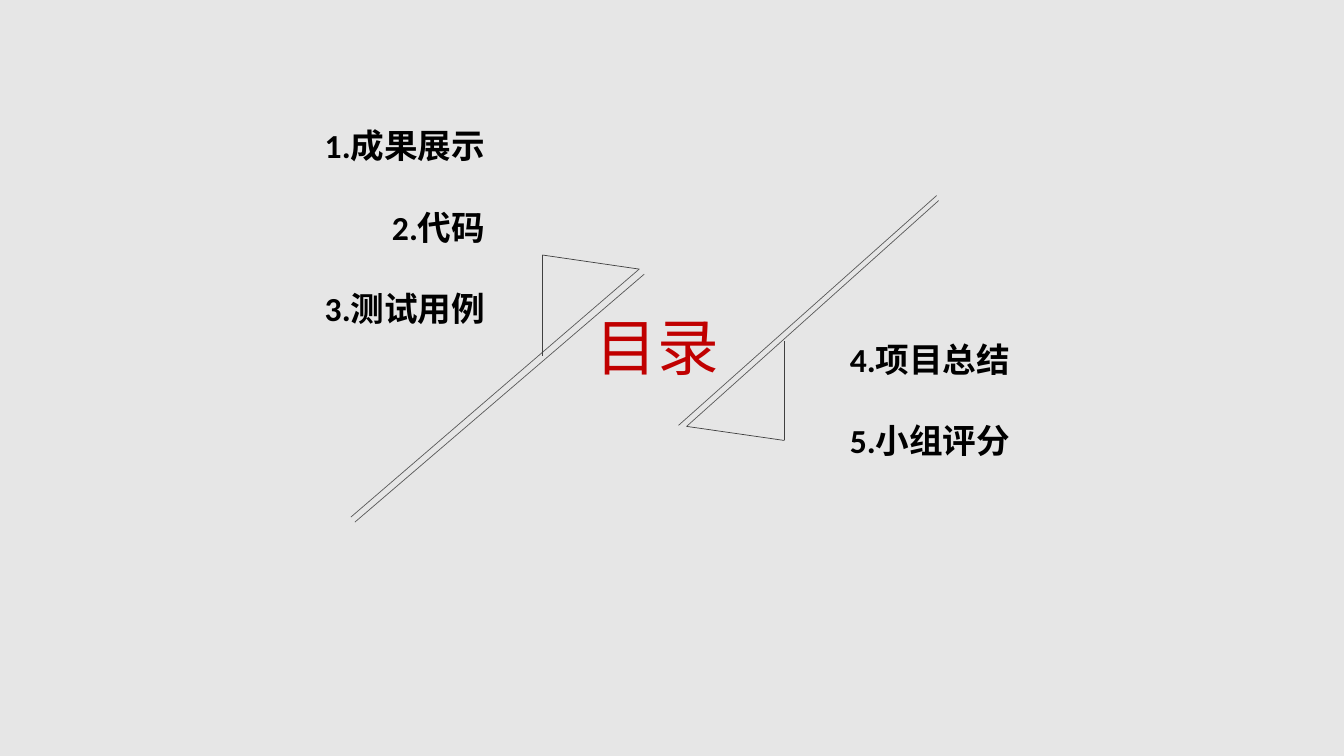
from pptx import Presentation
from pptx.dml.color import RGBColor
from pptx.enum.shapes import MSO_CONNECTOR
from pptx.enum.text import PP_ALIGN
from pptx.oxml.ns import qn
from pptx.util import Emu, Pt
from lxml.etree import SubElement

EMU_PER_PX = 9144  # 100 px to the inch


def px(length):
    return Emu(length * EMU_PER_PX)


def color(hex_code):
    return RGBColor.from_string(hex_code)


class AgendaSlide:
    BACKGROUND = "E6E6E6"
    LATIN_FONT = "Calibri"
    CJK_FONT = "Noto Sans CJK SC"

    def __init__(self, presentation):
        self.slide = presentation.slides.add_slide(presentation.slide_layouts[6])
        fill = self.slide.background.fill
        fill.solid()
        fill.fore_color.rgb = color(self.BACKGROUND)

    def line(self, start, end, stroke):
        connector = self.slide.shapes.add_connector(
            MSO_CONNECTOR.STRAIGHT, *map(px, start + end))
        connector.line.color.rgb = color(stroke)
        connector.line.width = Pt(0.5)
        SubElement(connector._element.spPr, qn("a:effectLst"))

    def text(self, box, entries, size, ink, font, line_height,
             gap=0, bold=False, align=PP_ALIGN.LEFT):
        frame = self.slide.shapes.add_textbox(*map(px, box)).text_frame
        frame.word_wrap = True
        frame.text = "\n".join(entries)
        for index, paragraph in enumerate(frame.paragraphs):
            paragraph.alignment = align
            paragraph.line_spacing = Pt(line_height)
            paragraph.space_before = Pt(gap if index else 0)
            for run in paragraph.runs:
                run.font.size = Pt(size)
                run.font.bold = bold
                run.font.name = font
                run.font.color.rgb = color(ink)
                east_asian = SubElement(run.font._element, qn("a:ea"))
                east_asian.set("typeface", self.CJK_FONT)

    def topics(self, box, entries, align=PP_ALIGN.LEFT):
        self.text(box, entries, 24, "000000", self.LATIN_FONT,
                  line_height=29, gap=29, bold=True, align=align)


def main():
    presentation = Presentation()
    presentation.slide_width, presentation.slide_height = px(1333), px(750)
    agenda = AgendaSlide(presentation)

    # Heading
    agenda.text((581, 296, 148, 83), ["目录"], 44, "C00000",
                agenda.CJK_FONT, line_height=57)

    # Paired diagonals on both sides of the heading
    diagonals = [
        ((348, 513), (634, 267)),
        ((352, 518), (639, 272)),
        ((681, 423), (931, 199)),
        ((673, 422), (929, 194)),
    ]
    for start, end in diagonals:
        agenda.line(start, end, "595959")

    # Open triangles resting on the diagonals
    triangles = [
        [(634, 267), (538, 253), (538, 353)],
        [(681, 423), (778, 437), (778, 338)],
    ]
    for corners in triangles:
        for start, end in zip(corners, corners[1:]):
            agenda.line(start, end, "404040")

    # Topics
    agenda.topics((239, 119, 252, 212),
                  ["1.成果展示", "2.代码", "3.测试用例"], PP_ALIGN.RIGHT)
    agenda.topics((833, 331, 247, 131), ["4.项目总结", "5.小组评分"])

    presentation.save("out.pptx")


if __name__ == "__main__":
    main()
